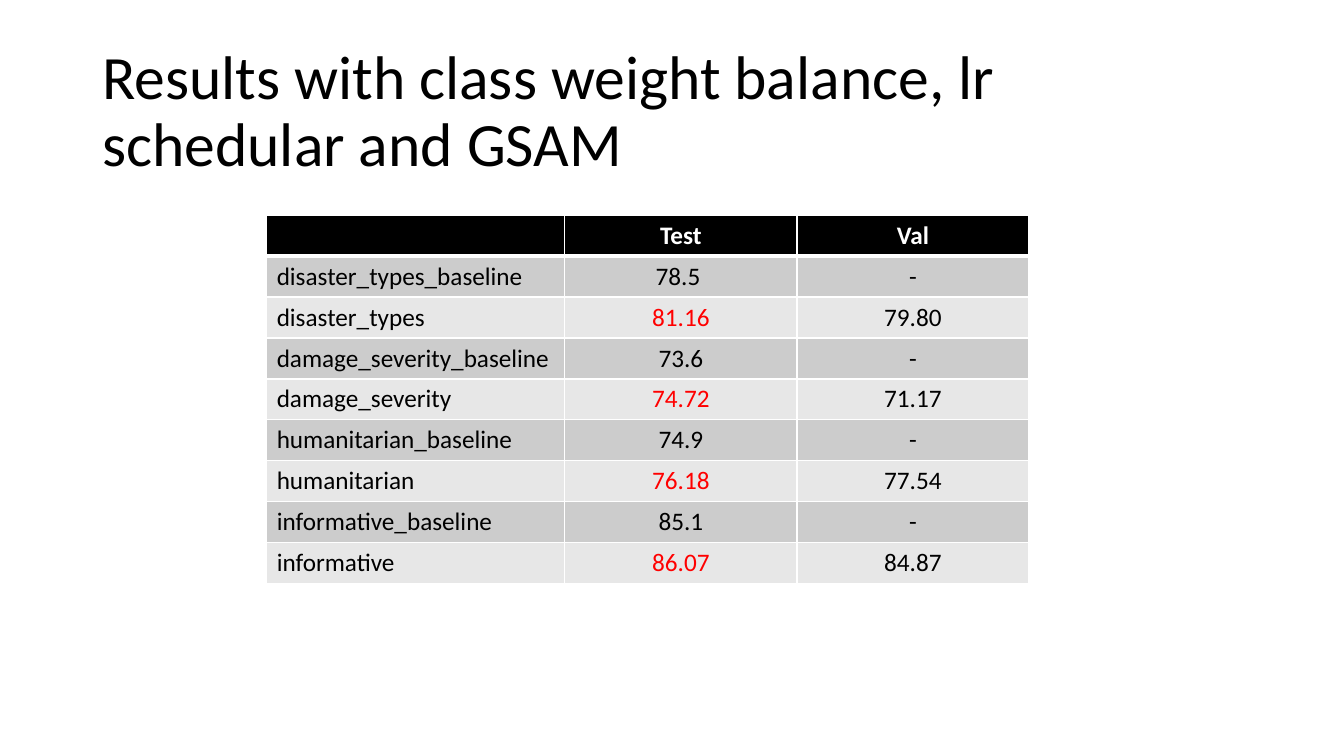
"""Build the slide of test and validation results per task."""
from lxml import etree
from pptx import Presentation
from pptx.dml.color import RGBColor
from pptx.enum.text import MSO_ANCHOR, PP_ALIGN
from pptx.oxml.ns import qn
from pptx.util import Emu, Pt

PX = 9525
FONT = "Calibri"
MIDDLE = MSO_ANCHOR.MIDDLE
LEFT, CENTER = PP_ALIGN.LEFT, PP_ALIGN.CENTER
COLORS = {
    "black": "000000",
    "white": "FFFFFF",
    "red": "FF0000",
    "dark_band": "CCCCCC",
    "light_band": "E7E7E7",
}
COLUMN_WIDTHS = [284, 221, 221]
ROW_HEIGHT = 39
ROWS = [
    ("", "Test", "Val"),
    ("disaster_types_baseline", "78.5 ", "-"),
    ("disaster_types", "81.16", "79.80"),
    ("damage_severity_baseline", "73.6", "-"),
    ("damage_severity", "74.72", "71.17"),
    ("humanitarian_baseline", "74.9", "-"),
    ("humanitarian", "76.18", "77.54"),
    ("informative_baseline", "85.1", "-"),
    ("informative", "86.07", "84.87"),
]


def add_text(paragraph, text, size, color, bold=False):
    run = paragraph.add_run()
    run.text = text
    run.font.name = FONT
    run.font.size = Pt(size)
    run.font.bold = bold
    run.font.color.rgb = RGBColor.from_string(COLORS[color])


def set_borders(cell, widths):
    properties = cell._tc.get_or_add_tcPr()
    for index, (side, width) in enumerate(widths.items()):
        line = etree.Element(qn(f"a:{side}"), w=str(Pt(width)))
        fill = etree.SubElement(line, qn("a:solidFill"))
        etree.SubElement(fill, qn("a:srgbClr"), val=COLORS["white"])
        properties.insert(index, line)


presentation = Presentation()
presentation.slide_width = Emu(1280 * PX)
presentation.slide_height = Emu(720 * PX)
slide = presentation.slides.add_slide(presentation.slide_layouts[6])

title = slide.shapes.add_textbox(88 * PX, 38 * PX, 1104 * PX, 139 * PX)
title.text_frame.word_wrap = True
title.text_frame.vertical_anchor = MIDDLE
title_paragraph = title.text_frame.paragraphs[0]
title_paragraph.line_spacing = 0.9
add_text(title_paragraph, "Results with class weight balance, lr schedular and GSAM", 44, "black")

table = slide.shapes.add_table(
    len(ROWS), len(COLUMN_WIDTHS), 254 * PX, 205 * PX,
    sum(COLUMN_WIDTHS) * PX, len(ROWS) * ROW_HEIGHT * PX,
).table
for column, width in zip(table.columns, COLUMN_WIDTHS):
    column.width = Emu(width * PX)

for row_index, values in enumerate(ROWS):
    is_header = row_index == 0
    is_baseline = row_index % 2 == 1
    band = "black" if is_header else "dark_band" if is_baseline else "light_band"
    borders = {
        "lnL": 1,
        "lnR": 1,
        "lnT": 3 if row_index == 1 else 1,
        "lnB": 3 if is_header else 1,
    }
    for column_index, value in enumerate(values):
        cell = table.cell(row_index, column_index)
        cell.fill.solid()
        cell.fill.fore_color.rgb = RGBColor.from_string(COLORS[band])
        set_borders(cell, borders)
        if not value:
            continue
        is_improved = column_index == 1 and not is_baseline
        color = "white" if is_header else "red" if is_improved else "black"
        paragraph = cell.text_frame.paragraphs[0]
        paragraph.alignment = CENTER if column_index else LEFT
        add_text(paragraph, value, 18, color, is_header)

presentation.save("out.pptx")
